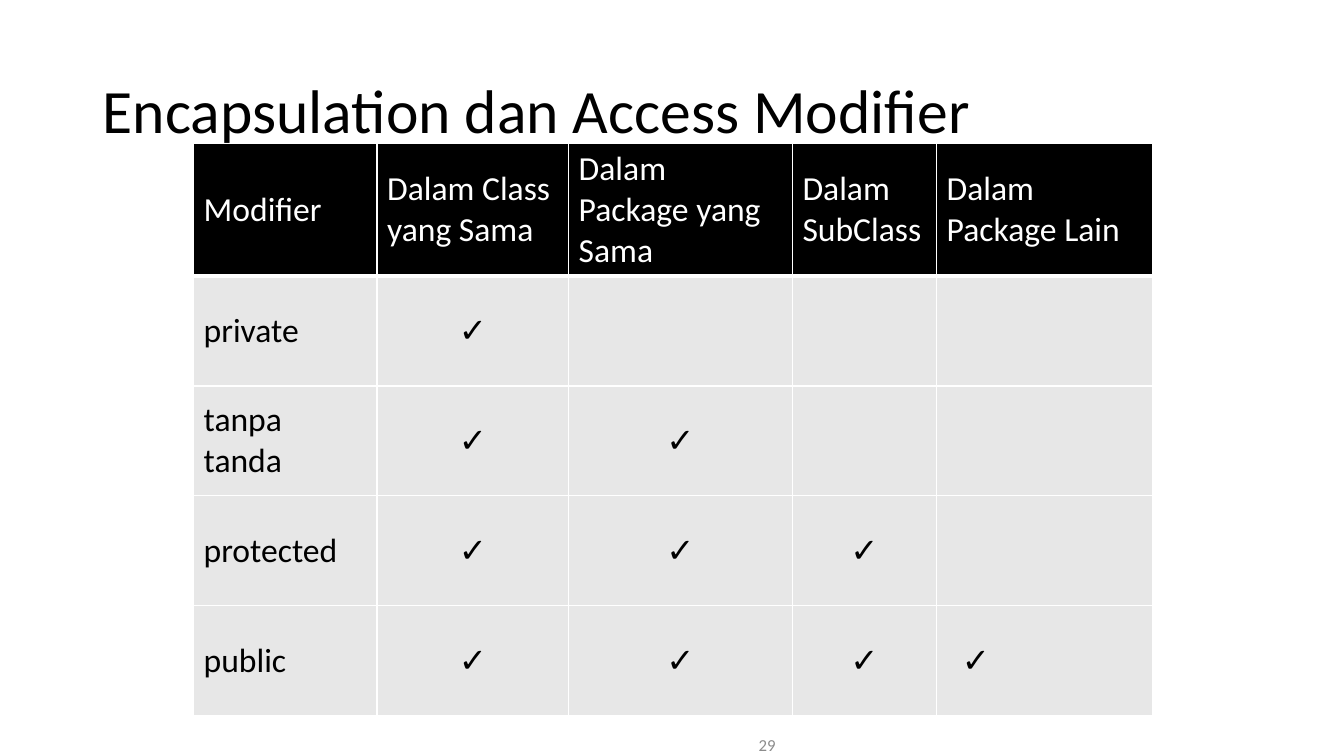
from dataclasses import dataclass

from lxml.etree import SubElement
from pptx import Presentation
from pptx.dml.color import RGBColor
from pptx.enum.text import MSO_ANCHOR, PP_ALIGN
from pptx.oxml.ns import qn
from pptx.slide import Slide
from pptx.table import _Cell
from pptx.text.text import _Paragraph
from pptx.util import Pt

PX = 9144
FONT = "Calibri"
BLACK = RGBColor(0x00, 0x00, 0x00)
WHITE = RGBColor(0xFF, 0xFF, 0xFF)
GREY = RGBColor(0x8C, 0x8C, 0x8C)
PALE = RGBColor(0xE7, 0xE7, 0xE7)

CHECK = "✓"
COLUMNS = [182, 190, 222, 143, 214]
HEADER_HEIGHT, ROW_HEIGHT = 132, 109
HEADINGS = ["Modifier", "Dalam Class yang Sama", "Dalam Package yang Sama",
            "Dalam SubClass", "Dalam Package Lain"]
MODIFIERS = ["private", "tanpa tanda", "protected", "public"]
LAST_CHECK_INDENT = 25


@dataclass
class Label:
    text: str
    left: int
    top: int
    width: int
    height: int
    size: int
    color: RGBColor
    align: PP_ALIGN = PP_ALIGN.LEFT
    spacing: float = 1.0


LABELS = [
    Label("Encapsulation dan Access Modifier", 92, 40, 1150, 145, 44, BLACK,
          spacing=0.9),
    Label("29", 554, 727, 225, 23, 12, GREY, PP_ALIGN.RIGHT),
]


def style(p: _Paragraph, size: int, color: RGBColor, align: PP_ALIGN) -> None:
    """Set the font and alignment of a paragraph."""
    p.font.name = FONT
    p.font.size = Pt(size)
    p.font.color.rgb = color
    p.alignment = align


def add_label(s: Slide, label: Label) -> None:
    """Add a vertically centred text box."""
    sp = s.shapes.add_textbox(label.left * PX, label.top * PX,
                              label.width * PX, label.height * PX)
    tf = sp.text_frame
    tf.word_wrap = True
    tf.vertical_anchor = MSO_ANCHOR.MIDDLE
    p = tf.paragraphs[0]
    p.text = label.text
    p.line_spacing = label.spacing
    style(p, label.size, label.color, label.align)


def add_borders(cell: _Cell, bottom: int) -> None:
    """Draw white borders of one point, with a given bottom width."""
    tcPr = cell._tc.get_or_add_tcPr()
    for side, width in (("L", 1), ("R", 1), ("T", 1), ("B", bottom)):
        ln = SubElement(tcPr, qn(f"a:ln{side}"), w=str(Pt(width)))
        fill = SubElement(ln, qn("a:solidFill"))
        SubElement(fill, qn("a:srgbClr"), val=str(WHITE))


def fill_cell(cell: _Cell, text: str, header: bool) -> None:
    """Write and style one table cell."""
    add_borders(cell, 3 if header else 1)
    cell.fill.solid()
    cell.fill.fore_color.rgb = BLACK if header else PALE
    cell.vertical_anchor = MSO_ANCHOR.MIDDLE
    p = cell.text_frame.paragraphs[0]
    p.text = text
    style(p, 24, WHITE if header else BLACK,
          PP_ALIGN.CENTER if text == CHECK else PP_ALIGN.LEFT)


def add_access_table(s: Slide) -> None:
    """Add the table in which each modifier gains one more check."""
    rows = [HEADINGS]
    for i, modifier in enumerate(MODIFIERS, start=1):
        rows.append([modifier] + [CHECK] * i + [""] * (len(MODIFIERS) - i))
    height = HEADER_HEIGHT + ROW_HEIGHT * len(MODIFIERS)
    table = s.shapes.add_table(len(rows), len(COLUMNS), 192 * PX, 142 * PX,
                               sum(COLUMNS) * PX, height * PX).table
    table.first_row = False
    table.horz_banding = False
    for column, width in zip(table.columns, COLUMNS):
        column.width = width * PX
    for i, texts in enumerate(rows):
        table.rows[i].height = (ROW_HEIGHT if i else HEADER_HEIGHT) * PX
        for j, text in enumerate(texts):
            fill_cell(table.cell(i, j), text, i == 0)
    last = table.cell(len(rows) - 1, len(COLUMNS) - 1)
    last.margin_left = LAST_CHECK_INDENT * PX
    last.text_frame.paragraphs[0].alignment = PP_ALIGN.LEFT


def main() -> None:
    """Build the slide and save it."""
    prs = Presentation()
    prs.slide_width, prs.slide_height = 1333 * PX, 750 * PX
    s = prs.slides.add_slide(prs.slide_layouts[6])
    for label in LABELS:
        add_label(s, label)
    add_access_table(s)
    prs.save("out.pptx")


if __name__ == "__main__":
    main()
